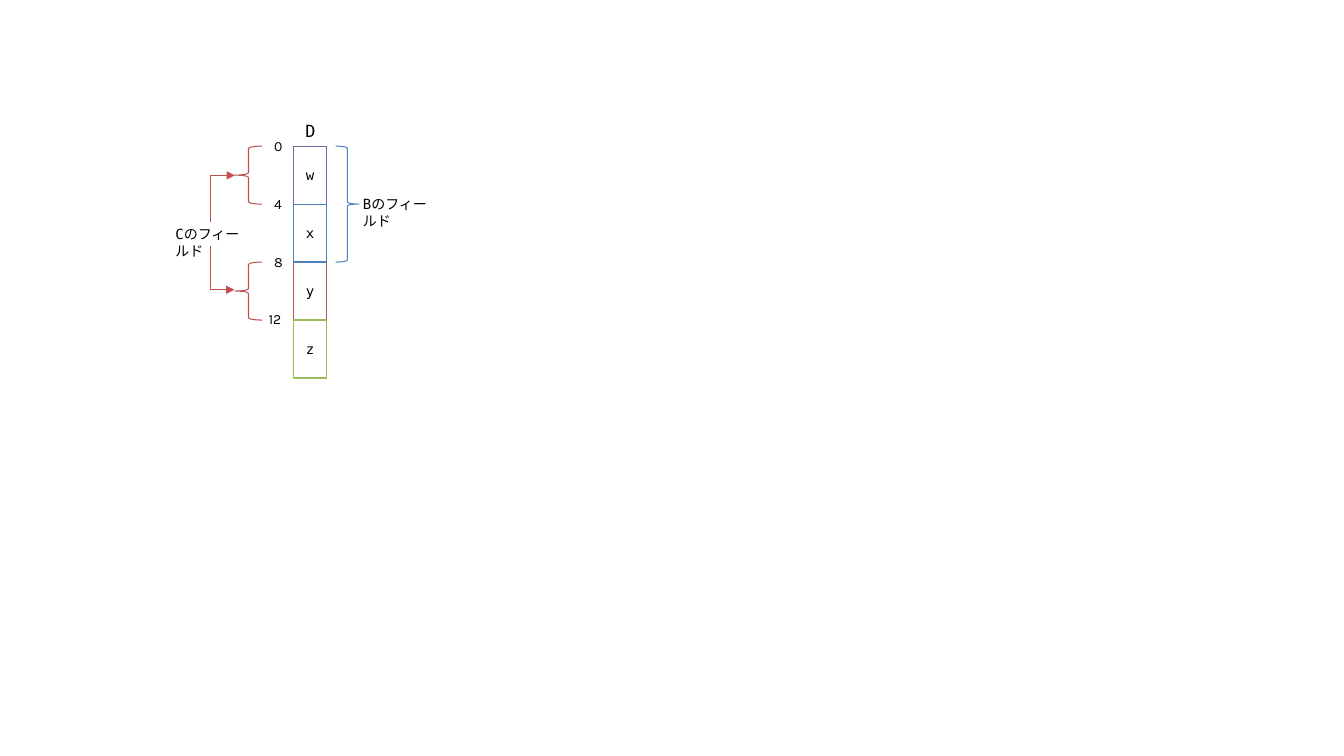
from pptx import Presentation
from pptx.dml.color import RGBColor as RGB
from pptx.enum.shapes import MSO_CONNECTOR as CON, MSO_SHAPE as SHP
from pptx.enum.text import MSO_ANCHOR as ANC, PP_ALIGN as AL
from pptx.oxml.ns import qn
from pptx.util import Inches, Pt
from lxml.etree import SubElement

INK = {"black": "000000", "white": "FFFFFF", "red": "C0504D",
       "blue": "4F81BD", "violet": "8064A2", "green": "9BBB59"}
MONO, SANS = "DejaVu Sans Mono", "Karla"
TOP, STEP = 1.45, 1.15 / 2

deck = Presentation()
deck.slide_width, deck.slide_height = Inches(13.33), Inches(7.5)
slide = deck.slides.add_slide(deck.slide_layouts[6])
shapes = slide.shapes


def write(shape, runs, size=10, align=AL.LEFT, anchor=ANC.TOP, wrap=True):
    frame = shape.text_frame
    frame.word_wrap = wrap
    frame.vertical_anchor = anchor
    frame.margin_left = frame.margin_right = Inches(0.04)
    frame.margin_top = frame.margin_bottom = Inches(0.04)
    para = frame.paragraphs[0]
    para.alignment = align
    for text, face in runs:
        run = para.add_run()
        run.text = text
        run.font.size = Pt(size)
        run.font.name = face
        run.font.color.rgb = RGB.from_string(INK["black"])
        if face == SANS:
            SubElement(run.font._element, qn("a:ea"), typeface=face)


def draw(kind, x, y, w, h, color, width=0.75):
    shape = shapes.add_shape(kind, Inches(x), Inches(y), Inches(w), Inches(h))
    shape.shadow.inherit = False
    shape.fill.background()
    shape.line.color.rgb = RGB.from_string(INK[color])
    shape.line.width = Pt(width)
    return shape


for name, row, color in [("y", 2, "red"), ("w", 0, "violet"),
                         ("x", 1, "blue"), ("z", 3, "green")]:
    cell = draw(SHP.RECTANGLE, 2.91, TOP + row * STEP, 0.33, STEP, color, 0.85)
    cell.fill.solid()
    cell.fill.fore_color.rgb = RGB.from_string(INK["white"])
    write(cell, [(name, MONO)], align=AL.CENTER, anchor=ANC.MIDDLE)

for row in range(4):
    mark = str(4 * row)
    wide = 0.15 if len(mark) == 1 else 0.23
    box = shapes.add_textbox(Inches(2.83 - wide), Inches(1.32 + row * STEP),
                             Inches(wide), Inches(0.25))
    write(box, [(mark, SANS)], align=AL.RIGHT, wrap=False)

head = shapes.add_textbox(Inches(2.99), Inches(1.16), Inches(0.17), Inches(0.28))
write(head, [("D", MONO)], size=12, wrap=False)

for name, x, y in [("B", 3.56, 1.9), ("C", 1.7, 2.2)]:
    label = shapes.add_textbox(Inches(x), Inches(y), Inches(0.78), Inches(0.25))
    write(label, [(name, MONO), ("のフィールド", SANS)])

draw(SHP.RIGHT_BRACE, 3.33, TOP, 0.23, 2 * STEP, "blue")
for row in (0, 2):
    draw(SHP.LEFT_BRACE, 2.33, TOP + row * STEP, 0.27, STEP, "red")

for x1, y1, x2, y2, turn in [(2.44, 2.09, 1.98, 1.85, 90),
                             (2.42, 2.54, 1.99, 2.78, 270)]:
    arrow = shapes.add_connector(CON.ELBOW, Inches(x1), Inches(y1),
                                 Inches(x2), Inches(y2))
    arrow.line.color.rgb = RGB.from_string(INK["red"])
    arrow.line.width = Pt(0.75)
    SubElement(arrow.line._get_or_add_ln(), qn("a:tailEnd"), type="triangle")
    props = arrow._element.spPr
    props.find(qn("a:xfrm")).set("rot", str(turn * 60000))
    props.find(qn("a:prstGeom")).set("prst", "bentConnector2")
    SubElement(props, qn("a:effectLst"))

deck.save("out.pptx")
